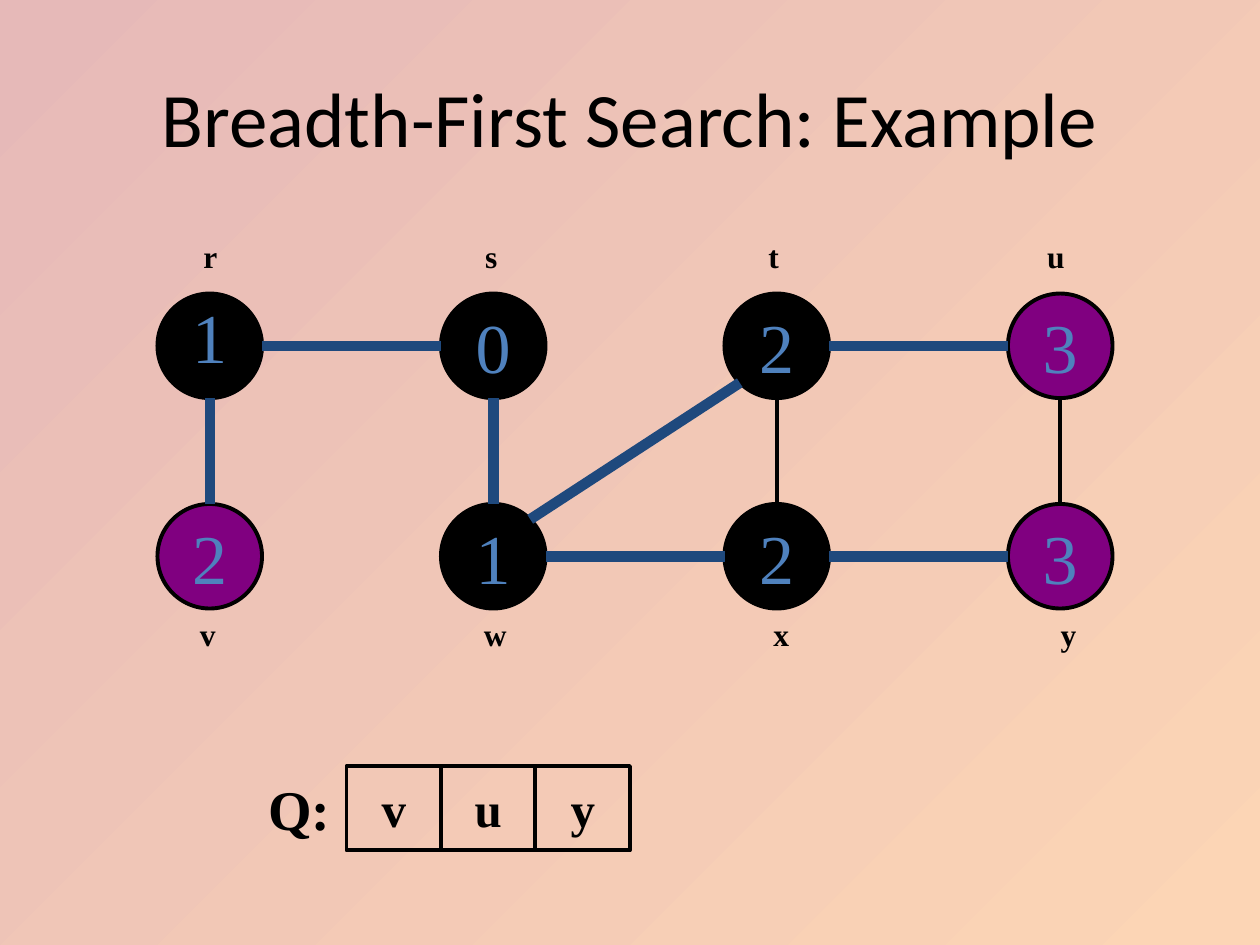
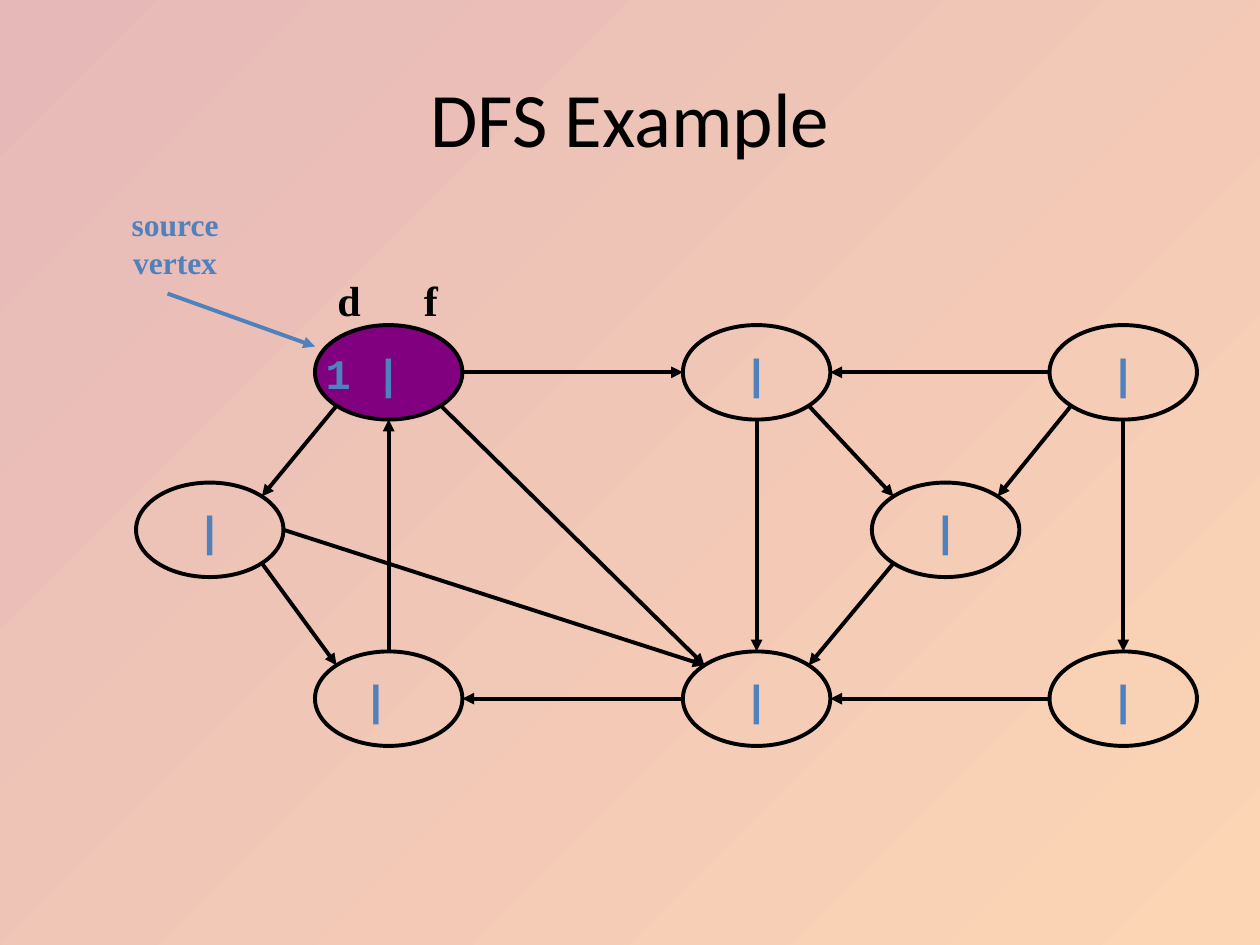
from math import cos, radians, sin

from lxml.etree import SubElement
from pptx import Presentation
from pptx.dml.color import RGBColor
from pptx.enum.shapes import MSO_CONNECTOR, MSO_SHAPE
from pptx.enum.text import MSO_ANCHOR, PP_ALIGN
from pptx.oxml.ns import qn
from pptx.util import Inches, Pt

COLORS = {
    "rose": "E6B9B8",
    "peach": "FCD5B5",
    "black": "000000",
    "purple": "800080",
    "blue": "4F81BD",
    "navy": "1F497D",
}
SERIF = "Times New Roman"
MONO = "Courier New"
THIN, THICK = 2.25, 6

# Connection sites of an ellipse, counter-clockwise from the top
TOP, TOP_LEFT, LEFT, BOTTOM_LEFT, BOTTOM, BOTTOM_RIGHT, RIGHT, TOP_RIGHT = range(8)


def rgb(name):
    return RGBColor.from_string(COLORS[name])


def paint_background(master):
    fill = master.background.fill
    fill.gradient()
    fill.gradient_angle = 315
    for stop, name in zip(fill.gradient_stops, ("rose", "peach")):
        stop.color.rgb = rgb(name)


def add_titled_slide(presentation, text):
    slide = presentation.slides.add_slide(presentation.slide_layouts[5])
    title = slide.shapes.title
    title.left, title.top = Inches(0.5), Inches(0.3)
    title.width, title.height = Inches(9), Inches(1.25)
    title.text_frame.vertical_anchor = MSO_ANCHOR.MIDDLE
    paragraph = title.text_frame.paragraphs[0]
    paragraph.alignment = PP_ALIGN.CENTER
    add_run(paragraph, text, 44, "Calibri", "black", False)
    return slide


def add_run(paragraph, text, size, font_name, color, bold):
    run = paragraph.add_run()
    run.text = text
    run.font.size = Pt(size)
    run.font.name = font_name
    run.font.bold = bold
    run.font.color.rgb = rgb(color)


def write_centered(shape, text, size, font_name=SERIF, color="black", bold=True):
    frame = shape.text_frame
    frame.word_wrap = False
    frame.vertical_anchor = MSO_ANCHOR.MIDDLE
    paragraph = frame.paragraphs[0]
    paragraph.alignment = PP_ALIGN.CENTER
    for number, line in enumerate(text.split("\n")):
        if number:
            paragraph.add_line_break()
        add_run(paragraph, line, size, font_name, color, bold)


def add_outlined(slide, preset, left, top, width, height, fill=None):
    shape = slide.shapes.add_shape(
        preset, Inches(left), Inches(top), Inches(width), Inches(height))
    shape.shadow.inherit = False
    if fill:
        shape.fill.solid()
        shape.fill.fore_color.rgb = rgb(fill)
    else:
        shape.fill.background()
    shape.line.color.rgb = rgb("black")
    shape.line.width = Pt(THIN)
    return shape


def add_label(slide, text, center_x, center_y, size, color="black", width=0.4, height=0.4):
    box = slide.shapes.add_textbox(
        Inches(center_x - width / 2), Inches(center_y - height / 2),
        Inches(width), Inches(height))
    write_centered(box, text, size, color=color)


def add_line(slide, start, end, color="black", width=THIN, arrow=False):
    connector = slide.shapes.add_connector(MSO_CONNECTOR.STRAIGHT, *start, *end)
    connector.line.color.rgb = rgb(color)
    connector.line.width = Pt(width)
    properties = connector._element.spPr
    if arrow:
        SubElement(properties.find(qn("a:ln")), qn("a:tailEnd"), type="triangle")
    SubElement(properties, qn("a:effectLst"))
    return connector


def site_point(ellipse, site):
    angle = radians(90 + 45 * site)
    return (round(ellipse.left + ellipse.width * (1 + cos(angle)) / 2),
            round(ellipse.top + ellipse.height * (1 - sin(angle)) / 2))


def join(slide, start, start_site, end, end_site, **style):
    """Draw an edge glued to the given sites of two ellipses."""
    connector = add_line(
        slide, site_point(start, start_site), site_point(end, end_site), **style)
    glue = connector._element.find(".//" + qn("p:cNvCxnSpPr"))
    for tag, ellipse, site in (("a:stCxn", start, start_site), ("a:endCxn", end, end_site)):
        SubElement(glue, qn(tag), id=str(ellipse.shape_id), idx=str(site))


def add_queue(slide, vertices):
    left, top, width, height = 2, 6.08, 0.75, 0.67
    add_label(slide, "Q:", left + width / 2, top + height / 2, 32, width=width, height=height)
    for position, vertex in enumerate(vertices, start=1):
        cell = add_outlined(
            slide, MSO_SHAPE.RECTANGLE, left + position * width, top, width, height)
        write_centered(cell, vertex, 28)


def build_breadth_first(presentation):
    slide = add_titled_slide(presentation, "Breadth-First Search: Example")
    # Per row: top, label centre, then (vertex, distance, fill, label centre)
    rows = [
        (2.33, 2.03, [("r", "1", "black", 1.67), ("s", "0", "black", 3.9),
                      ("t", "2", "black", 6.14), ("u", "3", "purple", 8.38)]),
        (4, 5.03, [("v", "2", "purple", 1.65), ("w", "1", "black", 3.93),
                   ("x", "2", "black", 6.2), ("y", "3", "purple", 8.48)]),
    ]
    nodes = {}
    for top, label_y, vertices in rows:
        for column, (vertex, distance, fill, label_x) in enumerate(vertices):
            node = add_outlined(
                slide, MSO_SHAPE.OVAL, 1.25 + 2.25 * column, top, 0.83, 0.83, fill)
            write_centered(node, distance, 40, color="blue", bold=False)
            add_label(slide, vertex, label_x, label_y, 18)
            nodes[vertex] = node
    nodes["r"].text_frame.paragraphs[0].line_spacing = 0.7

    tree_edges = [
        ("v", TOP, "r", BOTTOM), ("r", RIGHT, "s", LEFT), ("s", BOTTOM, "w", TOP),
        ("w", TOP_RIGHT, "t", BOTTOM_LEFT), ("w", RIGHT, "x", LEFT),
        ("t", RIGHT, "u", LEFT), ("x", RIGHT, "y", LEFT),
    ]
    for start, start_site, end, end_site in tree_edges:
        join(slide, nodes[start], start_site, nodes[end], end_site, color="navy", width=THICK)
    for start, end in ("xt", "yu"):
        join(slide, nodes[start], TOP, nodes[end], BOTTOM)
    add_queue(slide, "vuy")


def build_depth_first(presentation):
    slide = add_titled_slide(presentation, "DFS Example")
    upper, middle, lower = 2.58, 3.83, 5.17
    places = {
        "source": (2.5, upper), "upper center": (5.42, upper), "upper right": (8.33, upper),
        "middle left": (1.08, middle), "middle right": (6.92, middle),
        "lower left": (2.5, lower), "lower center": (5.42, lower), "lower right": (8.33, lower),
    }
    nodes = {}
    for name, (left, top) in places.items():
        is_source = name == "source"
        node = add_outlined(slide, MSO_SHAPE.OVAL, left, top, 1.17, 0.75,
                            "purple" if is_source else None)
        write_centered(node, "1 |" if is_source else "|", 24, MONO, "blue")
        nodes[name] = node
    # A wider right margin moves the centred times to the left
    nodes["source"].text_frame.margin_right = Inches(0.5)
    nodes["lower left"].text_frame.margin_right = Inches(0.3)

    edges = [
        ("source", BOTTOM_LEFT, "middle left", TOP_RIGHT),
        ("middle left", BOTTOM_RIGHT, "lower left", TOP_LEFT),
        ("middle left", RIGHT, "lower center", TOP_LEFT),
        ("lower center", LEFT, "lower left", RIGHT),
        ("lower left", TOP, "source", BOTTOM),
        ("source", BOTTOM_RIGHT, "lower center", TOP_LEFT),
        ("upper center", BOTTOM, "lower center", TOP),
        ("source", RIGHT, "upper center", LEFT),
        ("upper right", LEFT, "upper center", RIGHT),
        ("upper center", BOTTOM_RIGHT, "middle right", TOP_LEFT),
        ("upper right", BOTTOM_LEFT, "middle right", TOP_RIGHT),
        ("upper right", BOTTOM, "lower right", TOP),
        ("lower right", LEFT, "lower center", RIGHT),
        ("middle right", BOTTOM_LEFT, "lower center", TOP_RIGHT),
    ]
    for start, start_site, end, end_site in edges:
        join(slide, nodes[start], start_site, nodes[end], end_site, arrow=True)

    add_line(slide, (Inches(1.33), Inches(2.33)), (Inches(2.5), Inches(2.75)),
             color="blue", arrow=True)
    add_label(slide, "source\nvertex", 1.39, 1.93, 18, "blue", width=0.89, height=0.7)
    add_label(slide, "d", 2.77, 2.38, 24)
    add_label(slide, "f", 3.42, 2.38, 24)


def main():
    presentation = Presentation()
    presentation.slide_width, presentation.slide_height = Inches(10), Inches(7.5)
    paint_background(presentation.slide_master)
    build_breadth_first(presentation)
    build_depth_first(presentation)
    presentation.save("out.pptx")


if __name__ == "__main__":
    main()
